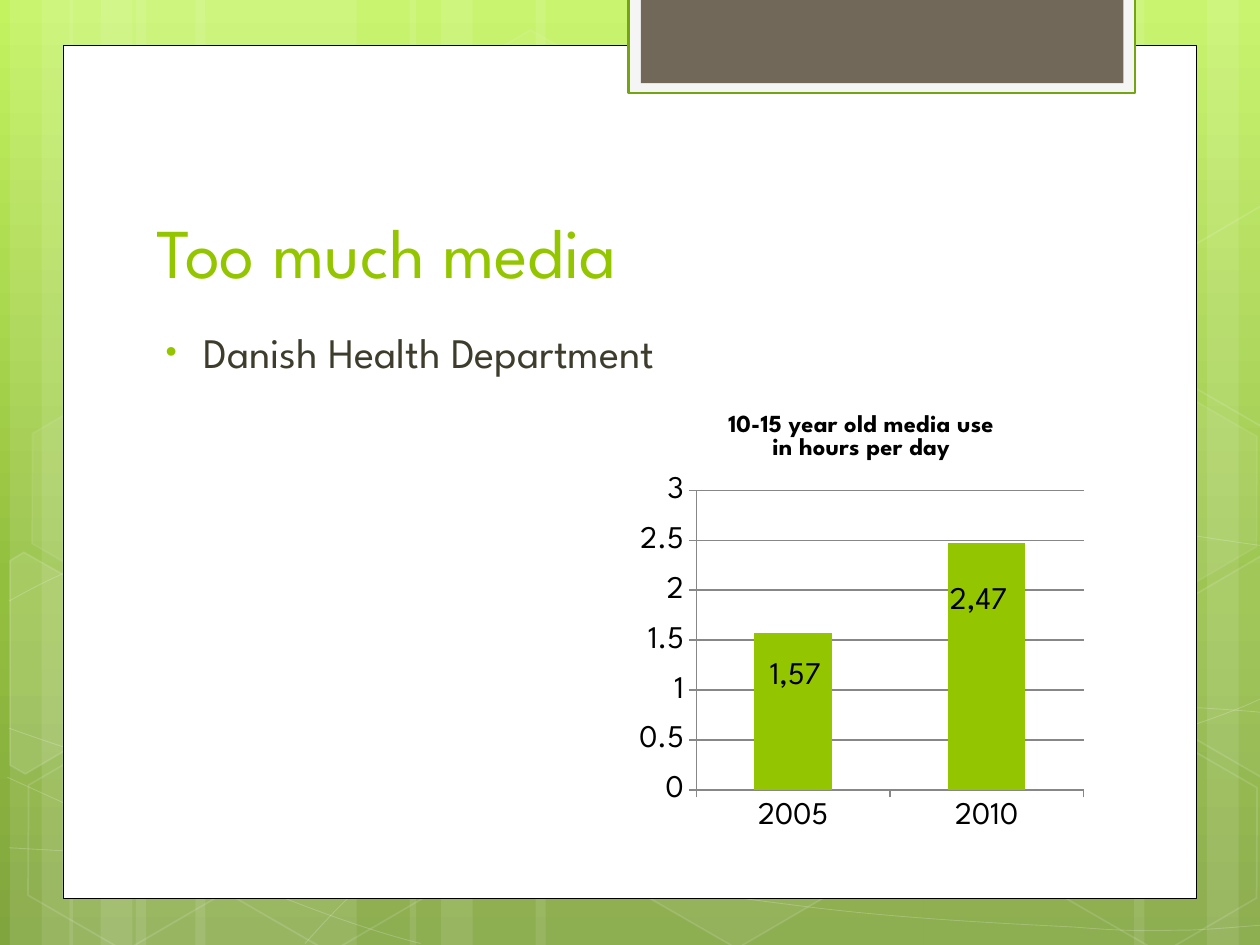
from math import cos, radians, sin
from lxml.etree import SubElement
from pptx import Presentation
from pptx.chart.data import CategoryChartData
from pptx.dml.color import RGBColor
from pptx.enum.chart import XL_CHART_TYPE, XL_TICK_MARK
from pptx.enum.shapes import MSO_SHAPE
from pptx.enum.text import MSO_ANCHOR
from pptx.oxml.ns import qn
from pptx.util import Cm, Pt

FONT = "League Spartan"
COLORS = {"white": "FFFFFF", "green": "94C600", "edge": "74A510", "tab": "71685A",
          "tab_border": "F5F5F5", "text": "3E3D2D", "black": "000000"}
BACKGROUND = [(0, "C3F35F"), (62, "93BF3F"), (100, "81A53E")]  # percent, colour

TITLE = "Too much media"
BULLET = "Danish Health Department"
CHART_TITLE = ["10-15 year old media use", "in hours per day"]
CATEGORIES = ["2005", "2010"]
HOURS = [1.57, 2.47]
BAR_LABELS = [("1,57", 15.27, 13.03), ("2,47", 18.9, 11.53)]  # text, left, top

# All positions below are in centimetres
STRIPES = [(2.74, 4.45), (0.2, 1.27), (0.84, 2.11), (3.94, 4.45), (1.4, 1.27), (2.03, 2.11),
           (18.62, 4.45), (24.33, 1.27), (22.86, 2.11),
           (10.8, 7.82), (8.26, 1.27), (8.89, 2.11)]  # left, width
# Chained cubic curves: start, then two control points and an end per segment
CURVES = [
    [(0.18, 17.09), (1.55, 17.17), (2.92, 17.25), (4.83, 17.22), (6.73, 17.2), (9.09, 17.15),
     (11.63, 16.89), (14.17, 16.64), (17.78, 16.15), (20.12, 15.67), (22.43, 15.19),
     (24.82, 14.43), (25.58, 14)],
    [(0.18, 12.12), (0.91, 11.71), (1.65, 11.33), (3.07, 10.95), (4.52, 10.57), (6.58, 10.01),
     (8.81, 9.83), (11.07, 9.65), (13.82, 9.63), (16.61, 9.83), (19.41, 10.03),
     (24.05, 10.82), (25.58, 11.02)],
    [(0.15, 15.67), (3.23, 17.07), (6.27, 18.47), (8.48, 19.02)],
    [(0.18, 14.68), (0.97, 14.96), (1.78, 15.24), (3.25, 15.65), (4.72, 16.03), (6.93, 16.66),
     (9.07, 17.09), (11.18, 17.53), (13.84, 17.98), (15.95, 18.24), (18.06, 18.52),
     (20.32, 18.62), (21.67, 18.69), (22.99, 18.8), (23.34, 18.75), (24, 18.75),
     (24.66, 18.72), (25.12, 18.67), (25.58, 18.64)],
    [(6.15, 19.02), (6.6, 18.52), (7.06, 18.01), (7.67, 17.55), (8.28, 17.09), (9.14, 16.59),
     (9.86, 16.23), (10.57, 15.88), (11, 15.72), (11.94, 15.47), (12.85, 15.21),
     (14.55, 14.86), (15.44, 14.68), (16.36, 14.5), (16.48, 14.5), (17.27, 14.45),
     (18.06, 14.38), (19.3, 14.3), (20.17, 14.27), (21.06, 14.25), (22.5, 14.27),
     (22.5, 14.27), (23.07, 14.27), (23.64, 14.27), (24.21, 14.27), (24.66, 14.3),
     (25.1, 14.33), (25.32, 14.35), (25.55, 14.38), (25.48, 14.35), (25.55, 14.38)],
]
TILT = 30  # degrees, shared by all hexagons
HEXAGONS = [(8.48, 0.91, 4, 8), (12.62, 14.96, 6, 12), (0.28, 15.01, 0, 12),
            (0.36, 7.92, 7, 8), (4.42, 15.04, 0, 12), (21.18, 15.06, 0, 12),
            (21.18, 7.98, 7, 8)]  # left, top, fill opacity, line opacity
CUT_HEXAGONS = [  # fill opacity, centre of rotation, corners
    (10, (0.91, 13.59), [(0.2, 11.3), (0.48, 11.13), (2.44, 12.24), (2.41, 14.48),
                         (0.51, 15.6), (0.2, 15.42)]),
    (4, (25.02, 13.21), [(23.52, 12.32), (25.43, 11.2), (25.63, 11.33), (25.63, 15.57),
                         (25.45, 15.67), (23.52, 14.55)]),
    (0, (25.02, 6.12), [(23.52, 5.26), (25.43, 4.14), (25.65, 4.27), (25.63, 8.51),
                        (25.45, 8.61), (23.52, 7.49)]),
]
PANELS = [(1.27, 0.91, 22.86, 17.2, "white", "black", 0.5),
          (12.67, -0.05, 10.21, 1.93, "tab_border", "edge", 1.25),
          (12.92, -0.05, 9.73, 1.73, "tab", None, 0)]


def rgb(name):
    return RGBColor.from_string(COLORS[name])


def paint(fill, name, opacity=100):
    if not opacity:
        fill.background()
        return
    fill.solid()
    fill.fore_color.rgb = rgb(name)
    if opacity < 100:
        color = fill._xPr.find(qn("a:solidFill"))[0]
        SubElement(color, qn("a:alpha"), val=str(opacity * 1000))


def style(shape, fill, fill_opacity=100, line=None, width=0, line_opacity=100):
    shape.shadow.inherit = False
    paint(shape.fill, fill, fill_opacity)
    paint(shape.line.fill, line, line_opacity if line else 0)
    if line:
        shape.line.width = Pt(width)


def add_shape(kind, left, top, width, height):
    return slide.shapes.add_shape(kind, Cm(left), Cm(top), Cm(width), Cm(height))


def add_outline(points, close):
    points = [(Cm(x), Cm(y)) for x, y in points]
    builder = slide.shapes.build_freeform(*points[0])
    builder.add_line_segments(points[1:], close=close)
    return builder.convert_to_shape()


def add_curve(points):
    """Turn every three line segments of an outline into one cubic curve."""
    shape = add_outline(points, False)
    outline = next(shape._element.iter(qn("a:path")))
    segments = outline.findall(qn("a:lnTo"))
    for index, segment in enumerate(segments):
        if index % 3 == 0:
            cubic = SubElement(outline, qn("a:cubicBezTo"))
        cubic.append(segment[0])
        outline.remove(segment)
    return shape


def turn_back(point, center):
    x, y = point[0] - center[0], point[1] - center[1]
    cosine, sine = cos(radians(TILT)), sin(radians(TILT))
    return center[0] + x * cosine + y * sine, center[1] - x * sine + y * cosine


def set_font(font, size, color="black", bold=False):
    font.name, font.size, font.bold = FONT, Pt(size), bold
    font.color.rgb = rgb(color)


def add_text(text, left, top, width, height, size, color, wrap=True, anchor=MSO_ANCHOR.TOP):
    frame = slide.shapes.add_textbox(Cm(left), Cm(top), Cm(width), Cm(height)).text_frame
    frame.word_wrap = wrap
    frame.vertical_anchor = anchor
    paragraph = frame.paragraphs[0]
    run = paragraph.add_run()
    run.text = text
    set_font(run.font, size, color)
    return paragraph


presentation = Presentation()
presentation.slide_width, presentation.slide_height = Cm(25.4), Cm(19.05)
slide = presentation.slides.add_slide(presentation.slide_layouts[6])

# Background gradient, top to bottom
background = slide.background.fill
background.gradient()
background.gradient_angle = 270
stops = background._fill._gradFill.find(qn("a:gsLst"))
for stop in list(stops):
    stops.remove(stop)
for percent, color in BACKGROUND:
    stop = SubElement(stops, qn("a:gs"), pos=str(percent * 1000))
    SubElement(stop, qn("a:srgbClr"), val=color)

# Translucent stripes, curves and hexagons
for left, width in STRIPES:
    style(add_shape(MSO_SHAPE.RECTANGLE, left, 0, width, 19.05), "white", 10)
for curve in CURVES:
    style(add_curve(curve), "white", 0, "white", 0.5, 20)
for left, top, fill_opacity, line_opacity in HEXAGONS:
    hexagon = add_shape(MSO_SHAPE.HEXAGON, left, top, 4.45, 3.86)
    hexagon.adjustments[0] = 0.285
    hexagon.rotation = TILT
    style(hexagon, "white", fill_opacity, "white", 1, line_opacity)
for opacity, center, corners in CUT_HEXAGONS:
    hexagon = add_outline([turn_back(corner, center) for corner in corners], True)
    hexagon.rotation = TILT
    style(hexagon, "white", opacity, "white", 1, 12)

# White panel and top tab
for left, top, width, height, fill, line, line_width in PANELS:
    style(add_shape(MSO_SHAPE.RECTANGLE, left, top, width, height), fill, 100, line, line_width)

# Title and bullet
add_text(TITLE, 2.9, 2.84, 19.51, 3.18, 40, "green", anchor=MSO_ANCHOR.BOTTOM)
properties = add_text(BULLET, 2.9, 6.45, 18.82, 9.75, 24, "text")._p.get_or_add_pPr()
properties.set("marL", str(Cm(0.95)))
properties.set("indent", str(Cm(-0.76)))
SubElement(SubElement(properties, qn("a:spcBef")), qn("a:spcPct"), val="20000")
SubElement(SubElement(properties, qn("a:buClr")), qn("a:srgbClr"), val=COLORS["green"])
SubElement(properties, qn("a:buSzPct"), val="76000")
SubElement(properties, qn("a:buFont"), typeface="Arial")
SubElement(properties, qn("a:buChar"), char="•")

# Column chart
data = CategoryChartData()
data.categories = CATEGORIES
data.add_series("Series 1", HOURS)
chart = slide.shapes.add_chart(XL_CHART_TYPE.COLUMN_CLUSTERED, Cm(12.7), Cm(7.94),
                               Cm(9.33), Cm(9), data).chart
set_font(chart.font, 18)
chart.has_legend = False
heading = chart.chart_title.text_frame.paragraphs[0]
for index, line in enumerate(CHART_TITLE):
    if index:
        heading.add_line_break()
    run = heading.add_run()
    run.text = line
    set_font(run.font, 14, bold=True)
plot = chart.plots[0]
plot.gap_width = 150
plot.vary_by_categories = False
paint(plot.series[0].format.fill, "green")
for axis in (chart.category_axis, chart.value_axis):
    axis.major_tick_mark = XL_TICK_MARK.OUTSIDE
chart.value_axis.has_major_gridlines = True

# Labels on the bars
for text, left, top in BAR_LABELS:
    add_text(text, left, top, 1.75, 1.02, 18, "black", wrap=False)

presentation.save("out.pptx")
